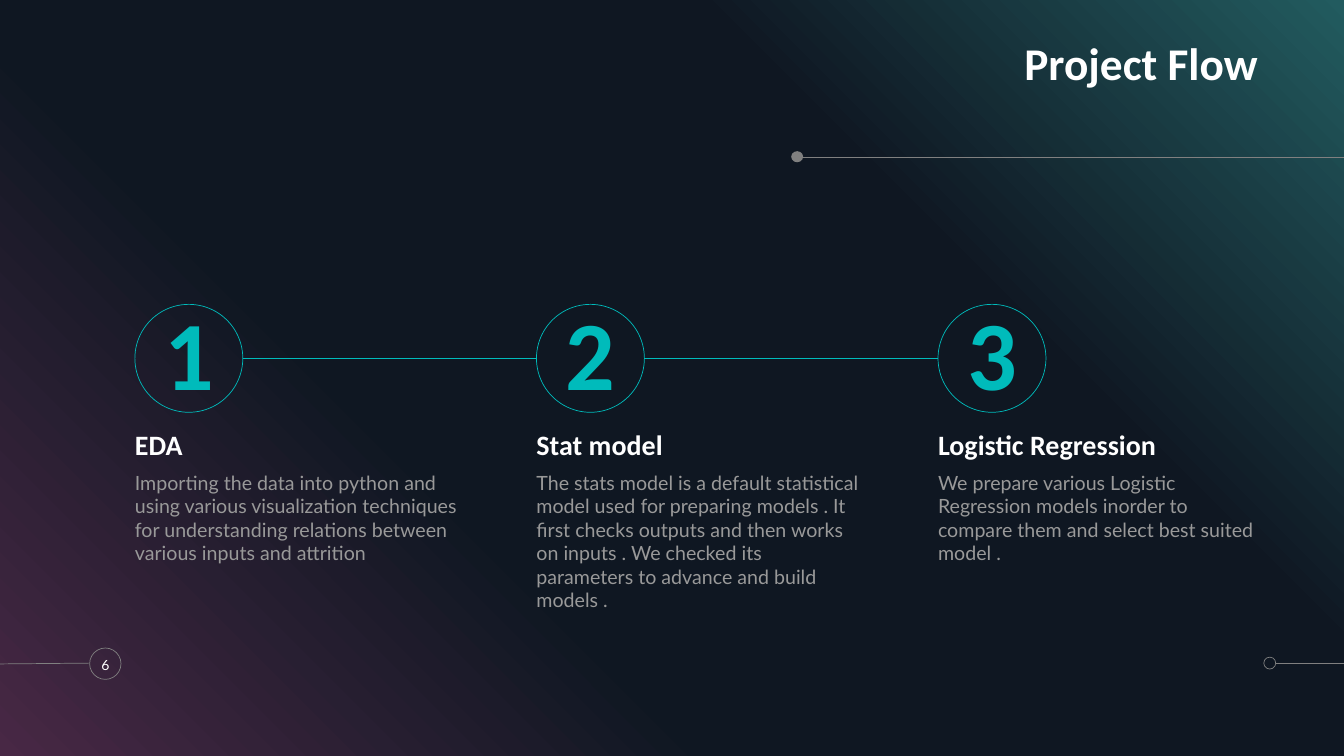
from dataclasses import dataclass
from typing import Optional

from lxml.etree import SubElement
from pptx import Presentation
from pptx.dml.color import RGBColor
from pptx.enum.shapes import MSO_CONNECTOR, MSO_SHAPE
from pptx.enum.text import MSO_ANCHOR, PP_ALIGN
from pptx.oxml.ns import qn
from pptx.util import Cm, Pt

WIDTH, HEIGHT = 33.87, 19.05
TEAL, GREY, WHITE, BODY_GREY = "00BBBB", "808080", "FFFFFF", "999999"
BACKDROP_STOPS = [(0, "482845"), (34, "0F1722"), (69, "0F1722"), (100, "225B5F")]

# Step columns
STEP_LEFT, STEP_PITCH, STEP_WIDTH = 3.4, 10.12, 8.18
CIRCLE_TOP, CIRCLE_SIZE = 7.67, 2.72


@dataclass
class Step:
    heading: str
    description: str


@dataclass
class Rule:
    start: tuple[float, float]
    end: tuple[float, float]
    color: str = GREY


@dataclass
class Dot:
    left: float
    top: float
    width: float
    height: float
    fill: Optional[str] = None
    line: Optional[str] = None


STEPS = [
    Step("EDA", "Importing the data into python and using various visualization "
         "techniques for understanding relations between various inputs and attrition"),
    Step("Stat model", "The stats model is a default statistical model used for "
         "preparing models . It first checks outputs and then works on inputs . "
         "We checked its parameters to advance and build models ."),
    Step("Logistic Regression", "We prepare various Logistic Regression models "
         "inorder to compare them and select best suited model ."),
]

RULES = [
    Rule((WIDTH, 3.96), (20.17, 3.96)),
    Rule((32.16, 16.71), (WIDTH, 16.71)),
    Rule((0, 16.73), (2.24, 16.71)),
]

DOTS = [
    Dot(19.94, 3.81, 0.3, 0.28, fill=GREY),
    Dot(31.85, 16.56, 0.3, 0.3, line=GREY),
    Dot(2.26, 16.33, 0.79, 0.79, line=GREY),
]


def rgb(color: str) -> RGBColor:
    return RGBColor.from_string(color)


def draw_backdrop(page) -> None:
    panel = page.shapes.add_shape(MSO_SHAPE.RECTANGLE, 0, 0, Cm(WIDTH), Cm(HEIGHT))
    panel.shadow.inherit = False
    panel.line.fill.background()
    panel.fill.gradient()
    panel.fill.gradient_angle = 45
    stop_list = panel.fill._fill._gradFill.find(qn("a:gsLst"))
    for stop in list(stop_list):
        stop_list.remove(stop)
    for percent, color in BACKDROP_STOPS:
        stop = SubElement(stop_list, qn("a:gs"), pos=str(percent * 1000))
        SubElement(stop, qn("a:srgbClr"), val=color)


def draw_rule(page, rule: Rule) -> None:
    line = page.shapes.add_connector(
        MSO_CONNECTOR.STRAIGHT, *(Cm(value) for value in rule.start + rule.end))
    line.line.color.rgb = rgb(rule.color)
    line.line.width = Pt(0.5)
    SubElement(line._element.spPr, qn("a:effectLst"))


def draw_dot(page, dot: Dot):
    circle = page.shapes.add_shape(
        MSO_SHAPE.OVAL, Cm(dot.left), Cm(dot.top), Cm(dot.width), Cm(dot.height))
    circle.shadow.inherit = False
    if dot.fill:
        circle.fill.solid()
        circle.fill.fore_color.rgb = rgb(dot.fill)
    else:
        circle.fill.background()
    if dot.line:
        circle.line.color.rgb = rgb(dot.line)
        circle.line.width = Pt(0.5)
    else:
        circle.line.fill.background()
    return circle


def write(shape, text: str, *, size: float, color: str, font: str = "Calibri",
          bold: bool = False, align=PP_ALIGN.LEFT, anchor=MSO_ANCHOR.TOP,
          spacing: float = 1.0, before: float = 0) -> None:
    frame = shape.text_frame
    frame.word_wrap = True
    frame.vertical_anchor = anchor
    frame.margin_left = frame.margin_right = frame.margin_top = frame.margin_bottom = 0
    para = frame.paragraphs[0]
    para.alignment = align
    para.line_spacing = spacing
    para.space_before = Pt(before)
    span = para.add_run()
    span.text = text
    span.font.name = font
    span.font.size = Pt(size)
    span.font.bold = bold
    span.font.color.rgb = rgb(color)


def add_text(page, left: float, top: float, width: float, height: float,
             text: str, **style) -> None:
    box = page.shapes.add_textbox(Cm(left), Cm(top), Cm(width), Cm(height))
    write(box, text, **style)


def draw_step(page, index: int, step: Step) -> None:
    left = STEP_LEFT + index * STEP_PITCH
    circle = draw_dot(page, Dot(left, CIRCLE_TOP, CIRCLE_SIZE, CIRCLE_SIZE, line=TEAL))
    write(circle, str(index + 1), size=70, color=TEAL, bold=True,
          align=PP_ALIGN.CENTER, anchor=MSO_ANCHOR.MIDDLE, spacing=0.9, before=10)
    add_text(page, left, 10.72, STEP_WIDTH, 0.91, step.heading, size=20, color=WHITE,
             bold=True, anchor=MSO_ANCHOR.BOTTOM, spacing=0.9, before=6)
    add_text(page, left, 11.86, STEP_WIDTH, 3.94, step.description, size=14,
             color=BODY_GREY, font="Lato", before=6)


def main() -> None:
    deck = Presentation()
    deck.slide_width, deck.slide_height = Cm(WIDTH), Cm(HEIGHT)
    page = deck.slides.add_slide(deck.slide_layouts[6])
    page.background.fill.solid()
    page.background.fill.fore_color.rgb = rgb("000000")

    # Backdrop and decoration
    draw_backdrop(page)
    for rule in RULES:
        draw_rule(page, rule)
    for dot in DOTS:
        draw_dot(page, dot)

    # Lines between the step circles
    middle = CIRCLE_TOP + CIRCLE_SIZE / 2
    for index in range(len(STEPS) - 1):
        left = STEP_LEFT + index * STEP_PITCH
        draw_rule(page, Rule((left + CIRCLE_SIZE, middle), (left + STEP_PITCH, middle), TEAL))

    # Title, steps and page number
    add_text(page, 14.17, 0.71, 17.53, 1.57, "Project Flow", size=32.4, color=WHITE,
             bold=True, align=PP_ALIGN.RIGHT, anchor=MSO_ANCHOR.BOTTOM, spacing=0.9)
    for index, step in enumerate(STEPS):
        draw_step(page, index, step)
    add_text(page, 2.16, 16.33, 0.99, 0.84, "6", size=10, color=WHITE, font="Lato",
             align=PP_ALIGN.CENTER, anchor=MSO_ANCHOR.MIDDLE)

    deck.save("out.pptx")


if __name__ == "__main__":
    main()
